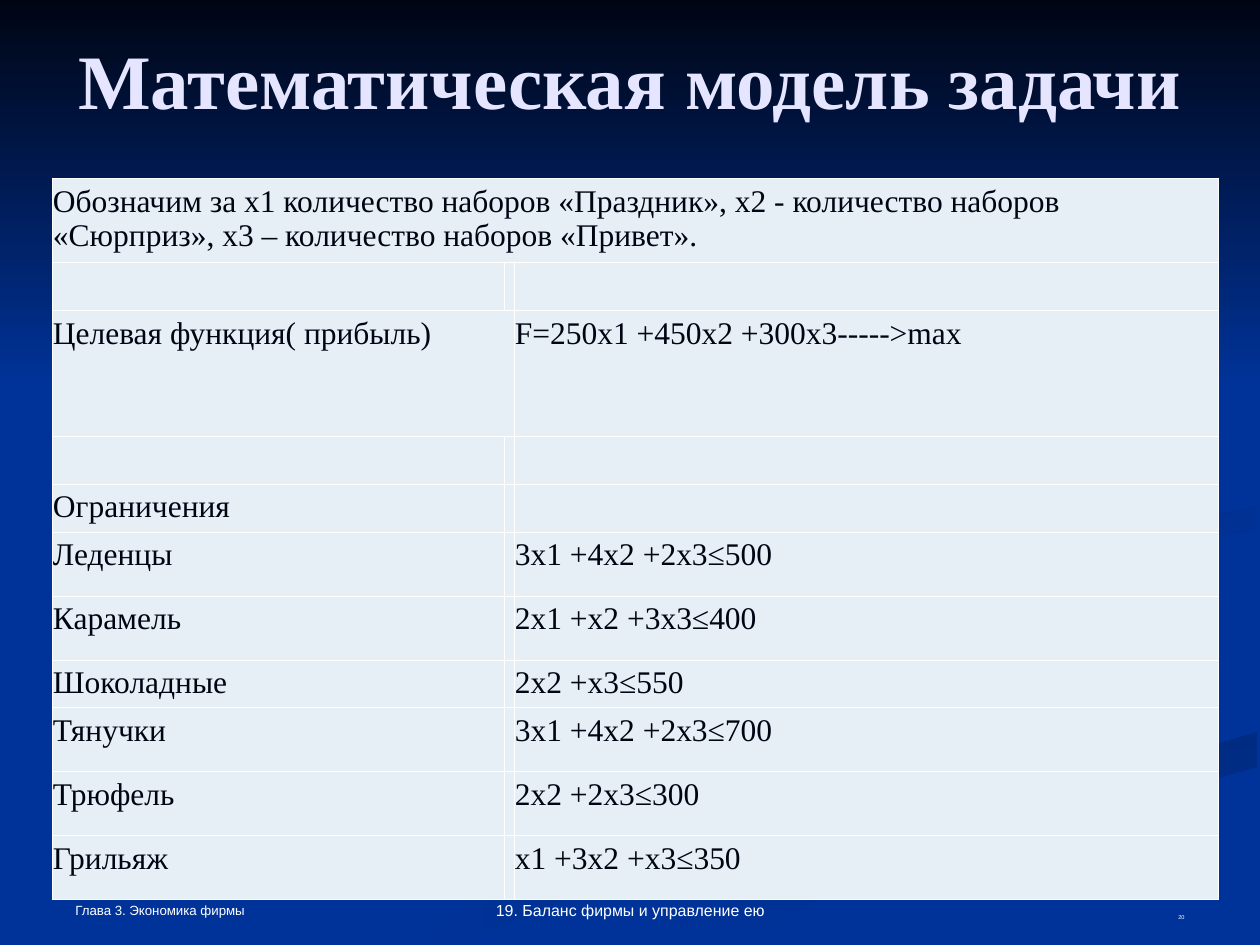
"""Build the slide with the mathematical model of the sweets problem."""
from dataclasses import dataclass

from lxml.etree import SubElement
from pptx import Presentation
from pptx.dml.color import RGBColor
from pptx.enum.text import MSO_ANCHOR, PP_ALIGN
from pptx.oxml.ns import qn
from pptx.util import Emu, Pt

PX = 914400 / 126


@dataclass(frozen=True)
class Theme:
    serif: str = "Times New Roman"
    sans: str = "Arial"
    background: str = "003399"
    shade: str = "002B82"
    night: str = "000514"
    heading: str = "E5E5FF"
    cell: str = "E7EFF6"
    white: str = "FFFFFF"
    heading_size: float = 44
    body_size: float = 18
    chapter_size: float = 7.6
    topic_size: float = 9.1
    number_size: float = 3.2
    border_width: float = 0.45


THEME = Theme()

WAVES = [
    ([(984, 697), (723, 578), (990, 713), (378, 944), (455, 944), (1007, 722)],
     (THEME.background, THEME.shade), 0),
    ([(1188, 718), (912, 585), (1157, 732), (1126, 762)],
     (THEME.background, THEME.shade), 45),
    ([(634, 944), (719, 944), (876, 872), (1257, 767), (1257, 732), (877, 844)],
     (THEME.shade, THEME.background), 90),
    ([(984, 580), (1041, 620), (1032, 575), (1257, 529), (1257, 507), (1021, 551)],
     (THEME.shade, THEME.background), 45),
    ([(861, 542), (1125, 422), (960, 294), (1120, 422), (728, 575), (784, 630)],
     (THEME.shade, THEME.background), 45),
    ([(0, 0), (0, 388), (1260, 388), (1260, 0)],
     (THEME.night, THEME.background), 90),
]

COLUMN_WIDTHS = [452, 10, 704]
LINE, LIMIT = 48, 64
MODEL_ROWS = [
    (84, "Обозначим за x1\u00a0количество наборов «Праздник», x2\u00a0- количество "
         "наборов «Сюрприз», x3\u00a0– количество наборов «Привет».", ""),
    (LINE, "", ""),
    (126, "Целевая функция( прибыль)", "F=250x1 +450x2 +300x3----->max"),
    (LINE, "", ""),
    (LINE, "Ограничения", ""),
    (LIMIT, "Леденцы", "3x1 +4x2 +2x3≤500"),
    (LIMIT, "Карамель", "2x1 +x2 +3x3≤400"),
    (LINE, "Шоколадные", "2x2 +x3≤550"),
    (LIMIT, "Тянучки", "3x1 +4x2 +2x3≤700"),
    (LIMIT, "Трюфель", "2x2 +2x3≤300"),
    (LIMIT, "Грильяж", "x1 +3x2 +x3≤350"),
]
MERGES = [((0, 0), (0, 2)), ((2, 0), (2, 1))]

FOOTERS = [
    ((63, 892, 410, 32), "Глава 3. Экономика фирмы", THEME.chapter_size, PP_ALIGN.LEFT),
    ((903, 903, 294, 24), "20", THEME.number_size, PP_ALIGN.RIGHT),
    ((431, 892, 399, 34), "19. Баланс фирмы и управление ею", THEME.topic_size,
     PP_ALIGN.CENTER),
]


def px(length):
    """Turn pixels into EMU."""
    return Emu(round(length * PX))


def style_font(font, face, size, color, bold=False):
    """Set the face, size, colour and weight of a font."""
    font.name, font.size, font.bold = face, Pt(size), bold
    font.color.rgb = RGBColor.from_string(color)


def add_wave(slide, outline, colors, angle):
    """Draw a closed outline with a two-colour fill."""
    builder = slide.shapes.build_freeform(*outline[0], scale=PX)
    builder.add_line_segments(outline[1:], close=True)
    wave = builder.convert_to_shape()
    wave.shadow.inherit = False
    wave.line.fill.background()
    wave.fill.gradient()
    wave.fill.gradient_angle = -angle % 360
    for stop, color, position in zip(wave.fill.gradient_stops, colors, (0, 1)):
        stop.color.rgb = RGBColor.from_string(color)
        stop.position = position


def set_title(slide, text):
    """Place and format the title in front of the waves."""
    title = slide.shapes.title
    slide.shapes._spTree.append(title._element)
    title.left, title.top, title.width, title.height = map(px, (63, 0, 1134, 158))
    frame = title.text_frame
    frame.text = text
    frame.word_wrap = True
    frame.margin_left = frame.margin_right = 0
    frame.vertical_anchor = MSO_ANCHOR.MIDDLE
    heading = frame.paragraphs[0]
    heading.alignment = PP_ALIGN.CENTER
    style_font(heading.runs[0].font, THEME.serif, THEME.heading_size, THEME.heading, True)


def add_borders(cell):
    """Outline a cell with thin white lines."""
    properties = cell._tc.get_or_add_tcPr()
    for index, side in enumerate(("a:lnL", "a:lnR", "a:lnT", "a:lnB")):
        border = SubElement(properties, qn(side), w=str(Pt(THEME.border_width)))
        fill = SubElement(border, qn("a:solidFill"))
        SubElement(fill, qn("a:srgbClr"), val=THEME.white)
        properties.insert(index, border)


def fill_cell(cell, text):
    """Write and format one table cell."""
    cell.text = text
    cell.margin_left = cell.margin_right = px(1)
    cell.margin_top = cell.margin_bottom = px(6)
    cell.fill.solid()
    cell.fill.fore_color.rgb = RGBColor.from_string(THEME.cell)
    paragraph = cell.text_frame.paragraphs[0]
    for font in [paragraph.font] + [run.font for run in paragraph.runs]:
        style_font(font, THEME.serif, THEME.body_size, THEME.night)
    add_borders(cell)


def add_model_table(slide):
    """Add the table with the goal function and the limits."""
    height = sum(row[0] for row in MODEL_ROWS)
    model = slide.shapes.add_table(
        len(MODEL_ROWS), len(COLUMN_WIDTHS), px(52), px(178),
        px(sum(COLUMN_WIDTHS)), px(height)).table
    model.first_row = model.horz_banding = False
    for column, width in zip(model.columns, COLUMN_WIDTHS):
        column.width = px(width)
    for index, (row_height, label, formula) in enumerate(MODEL_ROWS):
        model.rows[index].height = px(row_height)
        for column, text in enumerate((label, "", formula)):
            fill_cell(model.cell(index, column), text)
    for first, last in MERGES:
        model.cell(*first).merge(model.cell(*last))


def add_footer(slide, place, text, size, alignment):
    """Add a small text at the foot of the slide."""
    frame = slide.shapes.add_textbox(*map(px, place)).text_frame
    frame.text = text
    frame.word_wrap = True
    frame.vertical_anchor = MSO_ANCHOR.BOTTOM
    paragraph = frame.paragraphs[0]
    paragraph.alignment = alignment
    style_font(paragraph.runs[0].font, THEME.sans, size, THEME.white)


def main():
    """Build and save the presentation."""
    deck = Presentation()
    deck.slide_width, deck.slide_height = px(1260), px(945)
    slide = deck.slides.add_slide(deck.slide_layouts[5])
    slide.background.fill.solid()
    slide.background.fill.fore_color.rgb = RGBColor.from_string(THEME.background)
    for wave in WAVES:
        add_wave(slide, *wave)
    set_title(slide, "Математическая модель задачи")
    add_model_table(slide)
    for footer in FOOTERS:
        add_footer(slide, *footer)
    deck.save("out.pptx")


if __name__ == "__main__":
    main()
